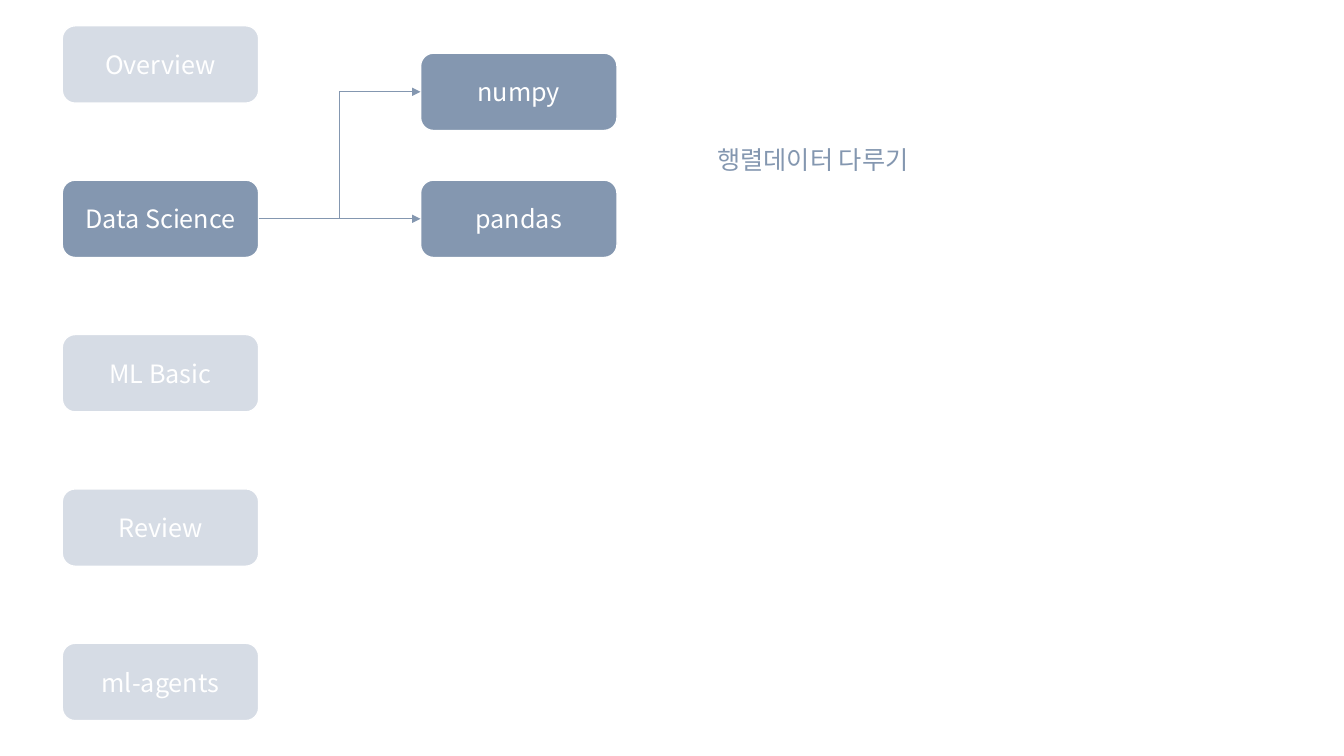
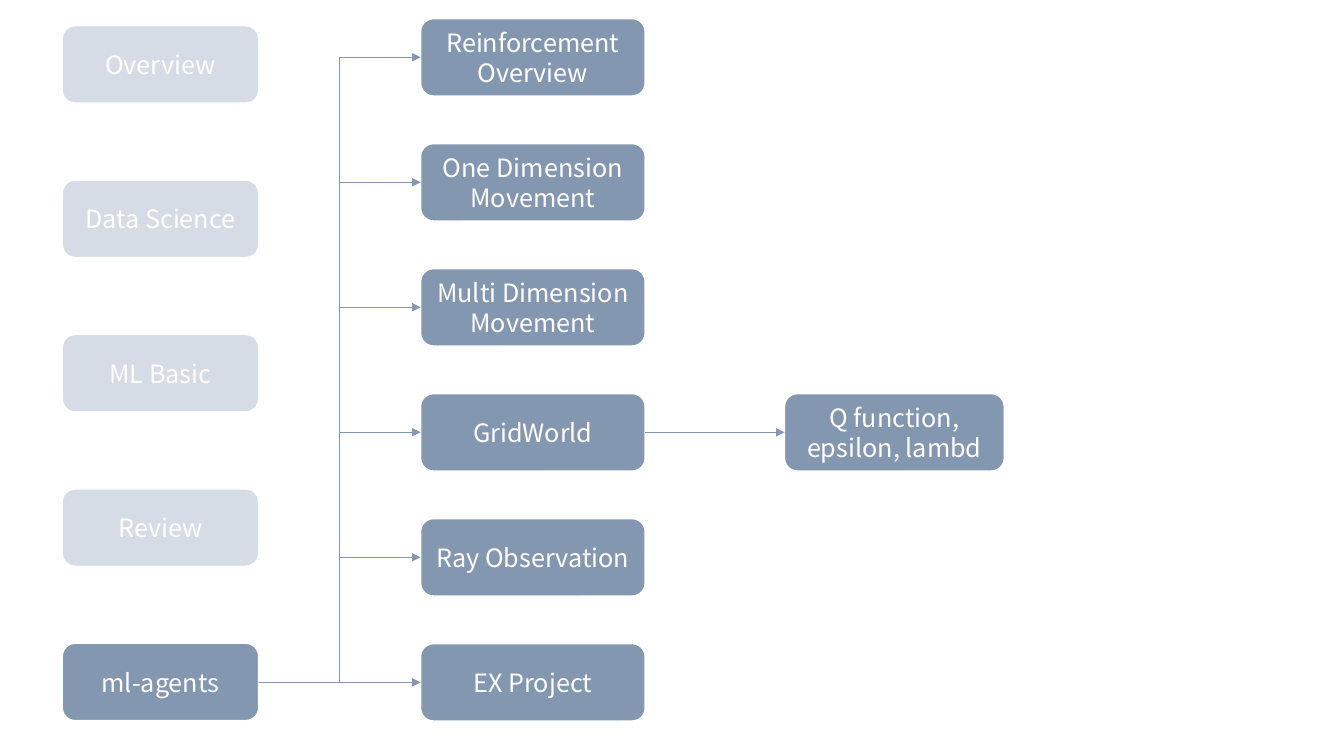
from dataclasses import dataclass

from pptx import Presentation
from pptx import slide as sl
from pptx import util as u
from pptx.dml import color
from pptx.enum import shapes, text
from pptx.oxml import ns, xmlchemy
from pptx.shapes import autoshape, connector
from pptx.text import text as tx

FONT = "Noto Sans CJK KR"
ACTIVE, MUTED, WHITE = "8497B0", "D6DCE5", "FFFFFF"

BOX_HEIGHT = 1.95
CHAPTER_LEFT, CHAPTER_TOP, CHAPTER_STEP = 1.57, 0.65, 3.89
CHAPTER_WIDTH = 4.95
TOPIC_LEFT = 10.6
CHAPTERS = ("Overview", "Data Science", "ML Basic", "Review", "ml-agents")
AGENT_TOPICS = (
    "Reinforcement\nOverview",
    "One Dimension Movement",
    "Multi Dimension Movement",
    "GridWorld",
    "Ray Observation",
    "EX Project",
)
AGENT_TOP, AGENT_STEP, AGENT_WIDTH = 0.47, 3.15, 5.66


@dataclass(frozen=True)
class Box:
    """A labelled box, measured in centimetres."""
    label: str
    left: float
    top: float
    width: float = CHAPTER_WIDTH
    fill: str = ACTIVE


def rgb(value: str) -> color.RGBColor:
    return color.RGBColor.from_string(value)


def write(frame: tx.TextFrame, content: str, *, ink: str = WHITE, size: float = 18,
          anchor: text.MSO_ANCHOR = text.MSO_ANCHOR.MIDDLE) -> None:
    """Fill a frame; a newline starts a paragraph, a vertical tab breaks a line."""
    frame.text = content
    frame.word_wrap = True
    frame.vertical_anchor = anchor
    for paragraph in frame.paragraphs:
        paragraph.alignment = text.PP_ALIGN.CENTER
        for run in paragraph.runs:
            run.font.name = FONT
            run.font.size = u.Pt(size)
            run.font.color.rgb = rgb(ink)
            east_asian = xmlchemy.OxmlElement("a:ea")
            east_asian.set("typeface", FONT)
            run.font._element.append(east_asian)


def draw_box(slide: sl.Slide, box: Box) -> autoshape.Shape:
    shape = slide.shapes.add_shape(
        shapes.MSO_SHAPE.ROUNDED_RECTANGLE,
        u.Cm(box.left), u.Cm(box.top), u.Cm(box.width), u.Cm(BOX_HEIGHT))
    shape.shadow.inherit = False
    shape.fill.solid()
    shape.fill.fore_color.rgb = rgb(box.fill)
    shape.line.color.rgb = rgb(WHITE)
    shape.line.width = u.Pt(1)
    write(shape.text_frame, box.label)
    return shape


def draw_arrow(slide: sl.Slide, source: autoshape.Shape, target: autoshape.Shape,
               kind: shapes.MSO_CONNECTOR = shapes.MSO_CONNECTOR.ELBOW) -> connector.Connector:
    """Join the right side of source to the left side of target."""
    arrow = slide.shapes.add_connector(
        kind,
        source.left + source.width, source.top + source.height // 2,
        target.left, target.top + target.height // 2)
    arrow.begin_connect(source, 3)
    arrow.end_connect(target, 1)
    arrow.line.color.rgb = rgb(ACTIVE)
    arrow.line.width = u.Pt(0.5)
    properties = arrow._element.spPr
    tip = xmlchemy.OxmlElement("a:tailEnd")
    tip.set("type", "triangle")
    properties.find(ns.qn("a:ln")).append(tip)
    properties.append(xmlchemy.OxmlElement("a:effectLst"))
    return arrow


def draw_chapters(slide: sl.Slide, current: str) -> autoshape.Shape:
    """Draw the chapter column and return the highlighted chapter."""
    column = {
        name: draw_box(slide, Box(name, CHAPTER_LEFT, CHAPTER_TOP + i * CHAPTER_STEP,
                                  fill=ACTIVE if name == current else MUTED))
        for i, name in enumerate(CHAPTERS)
    }
    return column[current]


def draw_branch(slide: sl.Slide, current: str, topics: list[Box]) -> list[autoshape.Shape]:
    """Draw the chapters and the topics that branch off the current one."""
    chapter = draw_chapters(slide, current)
    drawn = [draw_box(slide, topic) for topic in topics]
    for topic in drawn:
        draw_arrow(slide, chapter, topic)
    return drawn


def build_data_science(slide: sl.Slide) -> None:
    draw_branch(slide, "Data Science", [
        Box("numpy", TOPIC_LEFT, 1.34),
        Box("pandas", TOPIC_LEFT, CHAPTER_TOP + CHAPTER_STEP),
    ])
    remark = slide.shapes.add_textbox(u.Cm(16.94), u.Cm(3.5), u.Cm(7.09), u.Cm(1.02))
    write(remark.text_frame, "행렬데이터 다루기", ink=ACTIVE, anchor=text.MSO_ANCHOR.TOP)


def build_ml_agents(slide: sl.Slide) -> None:
    topics = [Box(label, TOPIC_LEFT, AGENT_TOP + i * AGENT_STEP, AGENT_WIDTH)
              for i, label in enumerate(AGENT_TOPICS)]
    drawn = draw_branch(slide, "ml-agents", topics)
    row = AGENT_TOPICS.index("GridWorld")
    parameters = draw_box(
        slide, Box("Q function,\vepsilon, lambd", 19.77, topics[row].top, 5.54))
    draw_arrow(slide, drawn[row], parameters, shapes.MSO_CONNECTOR.STRAIGHT)


def main() -> None:
    deck = Presentation()
    deck.slide_width, deck.slide_height = u.Cm(33.87), u.Cm(19.05)
    blank = deck.slide_layouts[6]
    for build in (build_data_science, build_ml_agents):
        build(deck.slides.add_slide(blank))
    deck.save("out.pptx")


if __name__ == "__main__":
    main()
